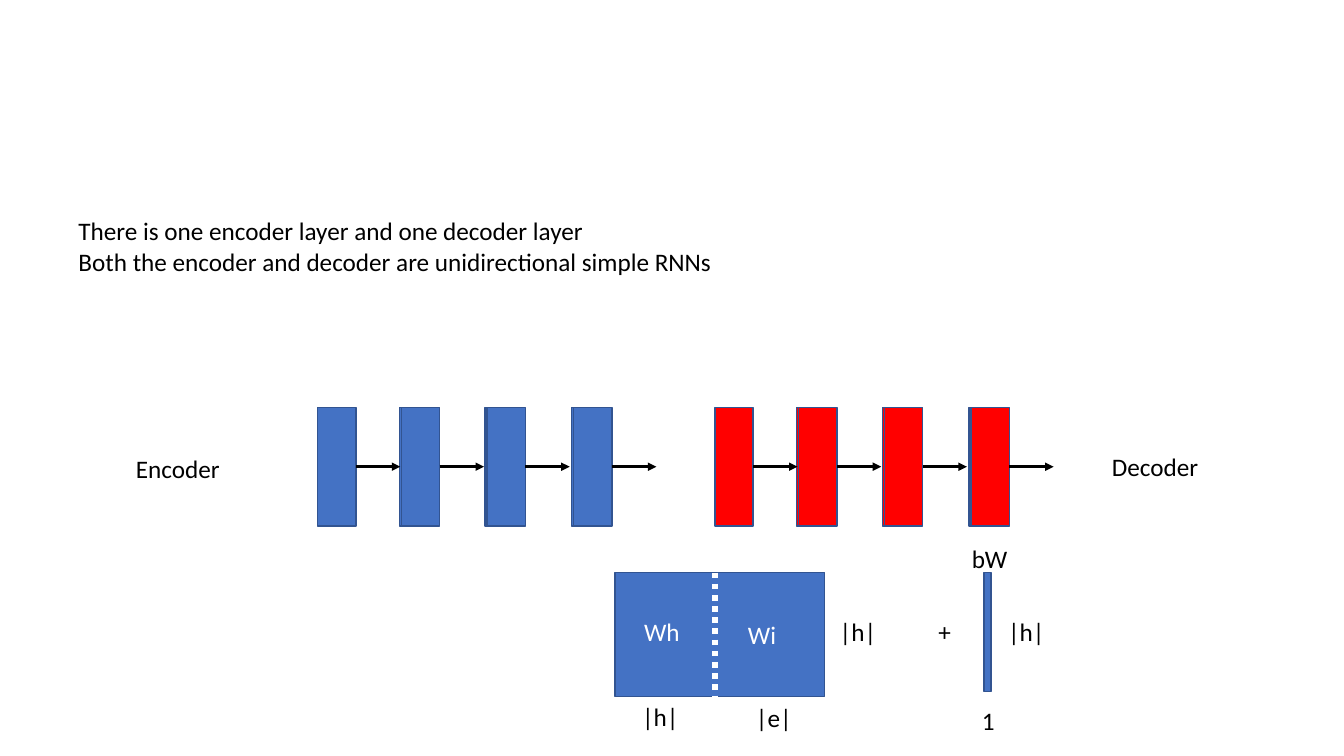
"""Build a slide that shows a simple RNN encoder and decoder with their weights."""
from dataclasses import dataclass

from lxml import etree
from pptx import Presentation
from pptx import util as u
from pptx.dml.color import RGBColor
from pptx.enum import dml, shapes, text
from pptx.oxml import ns


@dataclass(frozen=True)
class Theme:
    """Hold the colours, font and type size of the slide."""
    blue: str = "4472C4"
    red: str = "FF0000"
    outline: str = "325491"
    ink: str = "000000"
    paper: str = "FFFFFF"
    font: str = "Calibri"
    size: int = 18


THEME = Theme()
CELL_TOP, CELL_WIDTH, CELL_HEIGHT = 404, 38, 118
ARROW_Y, ARROW_LENGTH = 463, 44
STEPS = (0, 83, 168, 254)
STACK_SHIFT = 2


def px(length):
    """Turn a length in px, at 100 to the inch, into EMU."""
    return u.Emu(length * 9144)


def colour(code):
    """Turn a hex code into a colour."""
    return RGBColor.from_string(code)


def add_text(page, content, left, top, width, height=40, ink=THEME.ink, wrap=False):
    """Add a text box with one paragraph for each line of content."""
    box = page.shapes.add_textbox(px(left), px(top), px(width), px(height))
    frame = box.text_frame
    frame.word_wrap = wrap
    frame.auto_size = text.MSO_AUTO_SIZE.SHAPE_TO_FIT_TEXT
    for index, line in enumerate(content.split("\n")):
        para = frame.add_paragraph() if index else frame.paragraphs[0]
        span = para.add_run()
        span.text = line
        span.font.name = THEME.font
        span.font.size = u.Pt(THEME.size)
        span.font.color.rgb = colour(ink)


def add_block(page, left, top, width, height, fill):
    """Add an outlined rectangle."""
    block = page.shapes.add_shape(
        shapes.MSO_SHAPE.RECTANGLE, px(left), px(top), px(width), px(height))
    block.shadow.inherit = False
    block.fill.solid()
    block.fill.fore_color.rgb = colour(fill)
    block.line.color.rgb = colour(THEME.outline)
    block.line.width = u.Pt(1)


def add_line(page, start, end, ink, weight, dash=None, arrow=False):
    """Add a straight line, dashed or with an arrowhead if asked."""
    line = page.shapes.add_connector(
        shapes.MSO_CONNECTOR.STRAIGHT, *map(px, start + end))
    line.line.color.rgb = colour(ink)
    line.line.width = u.Pt(weight)
    if dash:
        line.line.dash_style = dash
    properties = line.element.spPr
    if arrow:
        outline = properties.find(ns.qn("a:ln"))
        etree.SubElement(outline, ns.qn("a:tailEnd"), type="triangle")
    etree.SubElement(properties, ns.qn("a:effectLst"))


def add_layer(page, left, fill):
    """Add a chain of recurrent cells, stacked in pairs after the first."""
    for step in STEPS[1:]:
        add_block(page, left + step - STACK_SHIFT, CELL_TOP, CELL_WIDTH, CELL_HEIGHT, fill)
    for step in STEPS:
        add_block(page, left + step, CELL_TOP, CELL_WIDTH, CELL_HEIGHT, fill)
        tail = left + step + CELL_WIDTH
        add_line(page, (tail, ARROW_Y), (tail + ARROW_LENGTH, ARROW_Y),
                 THEME.ink, 2, arrow=True)


def add_weights(page):
    """Add the weight matrix, the bias vector and their dimensions."""
    add_block(page, 610, 568, 208, 123, THEME.blue)
    add_line(page, (709, 568), (709, 695), THEME.paper, 4, dash=dml.MSO_LINE.ROUND_DOT)
    add_block(page, 976, 568, 7, 118, THEME.blue)
    add_text(page, "Wh", 629, 607, 56, ink=THEME.paper)
    add_text(page, "Wi", 732, 609, 48, ink=THEME.paper)
    for label, left, top, width in (
            ("|h|", 627, 691, 57), ("|e|", 740, 692, 56), ("|h|", 823, 607, 57),
            ("+", 921, 607, 33), ("1", 964, 695, 33), ("|h|", 990, 607, 57),
            ("bW", 954, 534, 56)):
        add_text(page, label, left, top, width)


def main():
    """Build and save the deck."""
    deck = Presentation()
    deck.slide_width, deck.slide_height = px(1333), px(750)
    page = deck.slides.add_slide(deck.slide_layouts[6])
    add_text(page, "There is one encoder layer and one decoder layer\n"
             "Both the encoder and decoder are unidirectional simple RNNs",
             68, 209, 667, 71, wrap=True)
    add_text(page, "Encoder", 125, 445, 104)
    add_text(page, "Decoder", 1093, 443, 107)
    add_layer(page, 315, THEME.blue)
    add_layer(page, 709, THEME.red)
    add_weights(page)
    deck.save("out.pptx")


if __name__ == "__main__":
    main()
